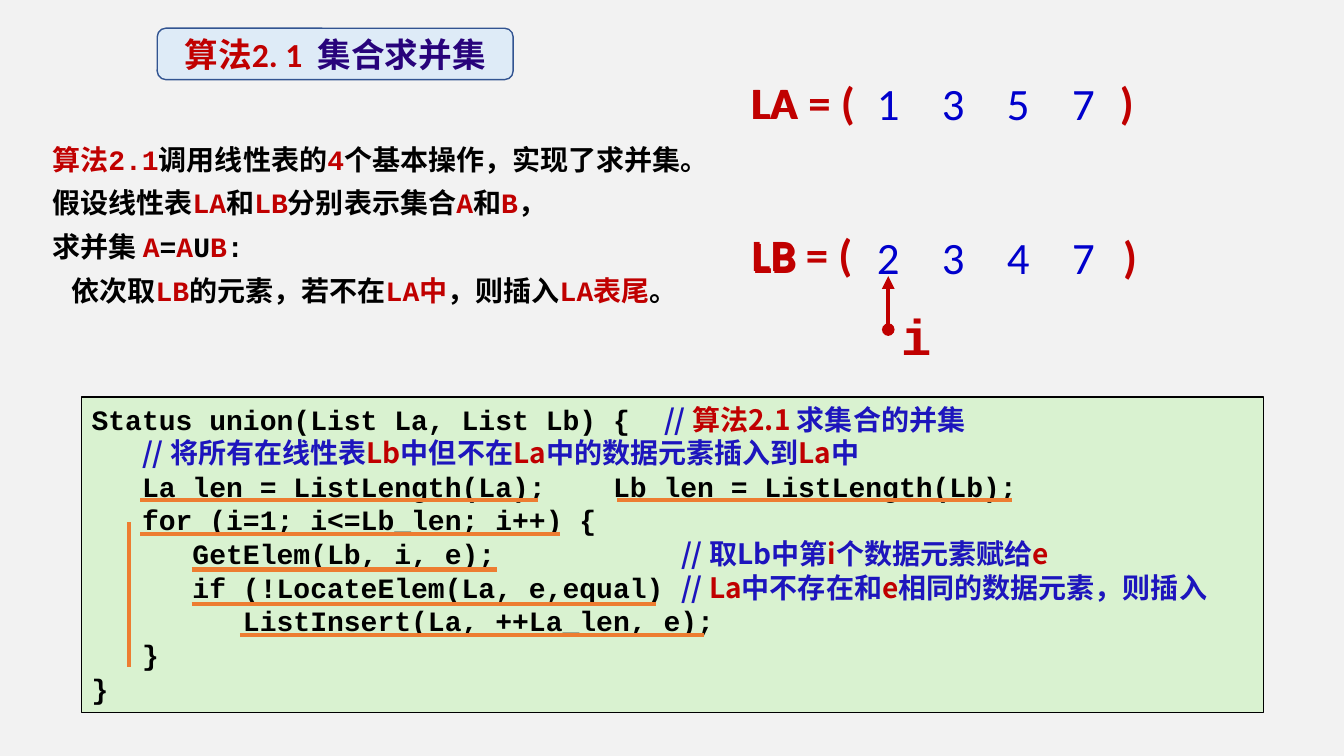
"""Build the slide on Algorithm 2.1, the union of two sets held as lists."""
from lxml import etree
from pptx import Presentation
from pptx.dml.color import RGBColor
from pptx.enum import shapes, text
from pptx.oxml import ns
from pptx.util import Inches, Pt

THEME = {
    "background": "F2F2F2", "title_fill": "DEEBF7", "title_line": "325491",
    "code_fill": "D9F2D0", "code_line": "000000", "underline": "ED7D31", "pointer": "C00000",
    "asian": "Noto Sans CJK SC",
    "styles": {
        "heading": ("Calibri", 24, "C00000", True),
        "subject": ("Calibri", 24, "28037B", True),
        "symbol": ("Calibri", 32, "C00000", True),
        "value": ("Calibri", 32, "0000CC", False),
        "index": ("Courier New", 36, "C00000", True),
        "code": ("Courier New", 20, "000000", True),
        "term": ("Courier New", 20, "C00000", True),
        "note": ("Noto Sans CJK SC", 20, "1D15BD", True),
        "key": ("Noto Sans CJK SC", 20, "C00000", True),
    },
}

TITLE = [[("heading", "算法2. 1"), ("heading", " "), ("subject", "集合求并集")]]
TITLE_BOX = (1.56, 0.28, 3.53, 0.51)
EXPLANATION = [
    [("term", "算法2.1"), ("code", "调用线性表的"), ("term", "4"), ("code", "个基本操作，实现了求并集。")],
    [("code", "假设线性表"), ("term", "LA"), ("code", "和"), ("term", "LB"), ("code", "分别表示集合"),
     ("term", "A"), ("code", "和"), ("term", "B"), ("code", "，")],
    [("code", "求并集 "), ("term", "A"), ("code", "="), ("term", "A"), ("code", "U"), ("term", "B"), ("code", ":")],
    [("code", "依次取"), ("term", "LB"), ("code", "的元素，若不在"), ("term", "LA中"),
     ("code", "，则插入"), ("term", "LA表尾"), ("code", "。")],
]
CODE = [
    [("code", "Status union(List La, List Lb) {  "), ("note", "// "), ("key", "算法2.1 "), ("note", "求集合的并集")],
    [("code", "   "), ("note", "// 将所有在线性表"), ("key", "Lb"), ("note", "中但不在"), ("key", "La"),
     ("note", "中的数据元素插入到"), ("key", "La"), ("note", "中")],
    [("code", "   La_len = ListLength(La);    Lb_len = ListLength(Lb);")],
    [("code", "   for (i=1; i<=Lb_len; i++) {")],
    [("code", "      GetElem(Lb, i, e);           "), ("note", "// 取Lb中第"), ("key", "i"),
     ("note", "个数据元素赋给"), ("key", "e")],
    [("code", "      if (!LocateElem(La, e,equal) "), ("note", "// "), ("key", "La"), ("note", "中不存在和"),
     ("key", "e"), ("note", "相同的数据元素，则插入")],
    [("code", "         ListInsert(La, ++La_len, e);")],
    [("code", "   }")],
    [("code", "}")],
]
LISTS = [
    {"name": "LA", "values": "1357", "top": 0.69,
     "opening": (7.22, 0.68, 1.5), "label": (7.35, 0.66), "closing": 11.01},
    {"name": "LB", "values": "2347", "top": 2.22,
     "opening": (7.26, 2.19, 1.39), "label": (7.37, 0.64), "closing": 11.04},
]
FIRST_VALUE, VALUE_STEP, ROW_HEIGHT = 8.49, 0.645, 0.64
UNDERLINES = [(1.39, 5.34, 4.96), (6.12, 10.04, 4.96), (1.39, 5.55, 5.3),
              (1.9, 4.93, 5.65), (1.9, 6.51, 5.99), (2.38, 6.98, 6.3)]
LOOP_BAR = (1.28, 5.18, 1.28, 6.62)


def color(name):
    return RGBColor.from_string(THEME.get(name, name))


def assign(target, values):
    for name, value in values.items():
        setattr(target, name, value)


def write(shape, lines, align=text.PP_ALIGN.LEFT, spacing=None, **frame_format):
    frame = shape.text_frame
    assign(frame, {"word_wrap": True, "vertical_anchor": text.MSO_ANCHOR.TOP, **frame_format})
    for number, line in enumerate(lines):
        paragraph = frame.add_paragraph() if number else frame.paragraphs[0]
        assign(paragraph, {"alignment": align, "line_spacing": spacing})
        for style, words in line:
            run = paragraph.add_run()
            run.text = words
            face, size, ink, bold = THEME["styles"][style]
            assign(run.font, {"name": face, "size": Pt(size), "bold": bold})
            run.font.color.rgb = color(ink)
            latin = run.font._element.find(ns.qn("a:latin"))
            latin.addnext(etree.Element(ns.qn("a:ea"), typeface=THEME["asian"]))
    return frame


def add_text(parent, box, lines, **options):
    shape = parent.add_textbox(*map(Inches, box))
    options.setdefault("auto_size", text.MSO_AUTO_SIZE.SHAPE_TO_FIT_TEXT)
    return write(shape, lines, **options)


def add_panel(slide, kind, box, fill, line):
    panel = slide.shapes.add_shape(kind, *map(Inches, box))
    panel.shadow.inherit = False
    panel.fill.solid()
    panel.fill.fore_color.rgb = color(fill)
    panel.line.color.rgb = color(line)
    panel.line.width = Pt(1)
    return panel


def add_line(parent, ends, ink, **arrowheads):
    line = parent.add_connector(shapes.MSO_CONNECTOR.STRAIGHT, *map(Inches, ends))
    line.line.color.rgb = color(ink)
    line.line.width = Pt(3)
    properties = line._element.spPr
    outline = properties.find(ns.qn("a:ln"))
    for end, kind in arrowheads.items():
        etree.SubElement(outline, ns.qn(f"a:{end}"), type=kind)
    etree.SubElement(properties, ns.qn("a:effectLst"))


def add_title(slide):
    title = slide.shapes.title
    panel = add_panel(slide, shapes.MSO_SHAPE.ROUNDED_RECTANGLE, TITLE_BOX, "title_fill", "title_line")
    title._element.addprevious(panel._element)
    assign(title, dict(zip(("left", "top", "width", "height"), map(Inches, TITLE_BOX))))
    frame = write(title, TITLE, align=text.PP_ALIGN.CENTER, spacing=1.0,
                  vertical_anchor=text.MSO_ANCHOR.MIDDLE, auto_size=text.MSO_AUTO_SIZE.NONE,
                  margin_left=Inches(0.04), margin_right=Inches(0.04))
    frame.paragraphs[0].runs[1].font._element.set("spc", "540")


def add_list(slide, row):
    centered = {"align": text.PP_ALIGN.CENTER, "vertical_anchor": text.MSO_ANCHOR.BOTTOM}
    left, top, width = row["opening"]
    add_text(slide.shapes, (left, top, width, ROW_HEIGHT), [[("symbol", f"{row['name']} = (")]], **centered)
    for position, value in enumerate(row["values"]):
        box = (FIRST_VALUE + position * VALUE_STEP, row["top"], 0.64, ROW_HEIGHT)
        add_text(slide.shapes, box, [[("value", value)]], **centered)
    for words, (left, width) in ((")", (row["closing"], 0.34)), (row["name"], row["label"])):
        add_text(slide.shapes, (left, row["top"], width, ROW_HEIGHT), [[("symbol", words)]], word_wrap=False)


def add_code(slide):
    panel = add_panel(slide, shapes.MSO_SHAPE.RECTANGLE, (0.81, 3.94, 11.72, 3.13), "code_fill", "code_line")
    write(panel, CODE, auto_size=text.MSO_AUTO_SIZE.SHAPE_TO_FIT_TEXT)
    for start, end, height in UNDERLINES:
        add_line(slide.shapes, (start, height, end, height), "underline")
    add_line(slide.shapes, LOOP_BAR, "underline")


def main():
    presentation = Presentation()
    assign(presentation, {"slide_width": Inches(13.33), "slide_height": Inches(7.5)})
    slide = presentation.slides.add_slide(presentation.slide_layouts[5])
    slide.background.fill.solid()
    slide.background.fill.fore_color.rgb = color("background")
    add_title(slide)
    for row in LISTS:
        add_list(slide, row)
    pointer = slide.shapes.add_group_shape().shapes
    add_text(pointer, (8.84, 2.98, 0.39, 0.71), [[("index", "i")]])
    add_line(pointer, (8.81, 3.27, 8.81, 2.74), "pointer", headEnd="oval", tailEnd="triangle")
    frame = add_text(slide.shapes, (0.42, 1.26, 6.8, 1.82), EXPLANATION, spacing=1.3, word_wrap=False)
    frame.paragraphs[-1]._p.get_or_add_pPr().set("marL", str(Inches(0.19)))
    add_code(slide)
    presentation.save("out.pptx")


if __name__ == "__main__":
    main()
